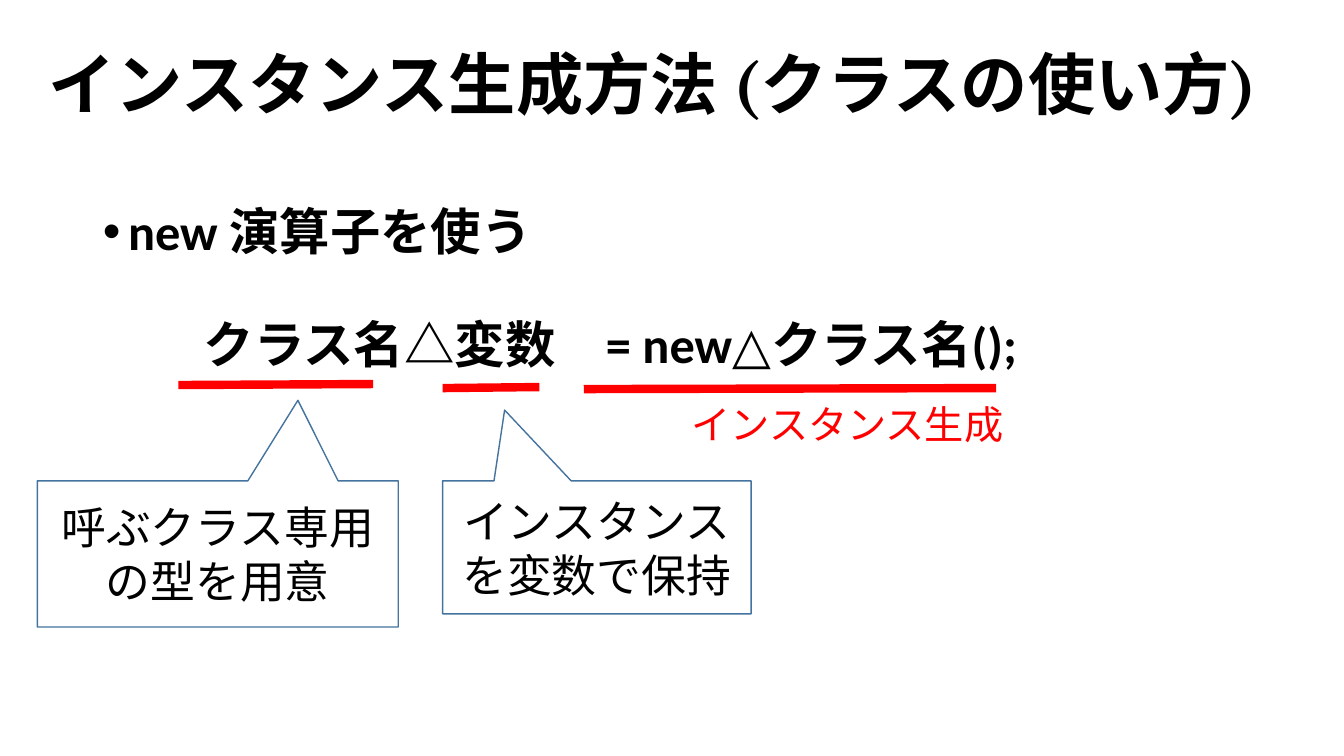
from pptx import Presentation
from pptx.util import Inches, Pt
from pptx.dml.color import RGBColor
from pptx.enum.shapes import MSO_SHAPE, MSO_CONNECTOR
from pptx.enum.text import PP_ALIGN, MSO_ANCHOR, MSO_AUTO_SIZE
from pptx.oxml.ns import qn
from lxml.etree import SubElement

TITLE = "インスタンス生成方法 (クラスの使い方)"
BODY = [
    ("new 演算子を使う", 10, 0.25, -0.25, "•"),
    ("クラス名△変数\u3000= new△クラス名();", 42, 1, 0, None),
]
UNDERLINES = [
    (1.77, 3.82, 3.7, 3.81),
    (4.39, 3.85, 5.35, 3.84),
    (5.79, 3.86, 9.88, 3.85),
]
CALLOUTS = [
    (["呼ぶクラス専用の型を用意"], (0.37, 4.77, 3.58, 1.45), (0.222, -1.051)),
    (["インスタンス", "を変数で保持"], (4.39, 4.77, 3.06, 1.32), (-0.299, -1.032)),
]
LABEL = "インスタンス生成"


def rgb(value):
    return RGBColor.from_string(value)


def write(p, text, size=32, font="Calibri", color="000000", bold=False,
          align=PP_ALIGN.LEFT, spacing=None, before=None):
    r = p.add_run()
    r.text = text
    r.font.size = Pt(size)
    r.font.name = font
    r.font.bold = bold
    r.font.color.rgb = rgb(color)
    p.alignment = align
    if spacing is not None:
        p.line_spacing = spacing
    if before is not None:
        p.space_before = Pt(before)


def place(s, box):
    s.left, s.top, s.width, s.height = map(Inches, box)


def set_bullet(p, left, indent, char):
    pPr = p._p.get_or_add_pPr()
    pPr.set("marL", str(Inches(left)))
    pPr.set("indent", str(Inches(indent)))
    if char:
        SubElement(pPr, qn("a:buFont")).set("typeface", "Arial")
        SubElement(pPr, qn("a:buChar")).set("char", char)
    else:
        SubElement(pPr, qn("a:buNone"))


def paragraphs(tf, count):
    return [tf.paragraphs[0]] + [tf.add_paragraph() for _ in range(count - 1)]


def main():
    prs = Presentation()
    prs.slide_width, prs.slide_height = Inches(13.33), Inches(7.5)
    s = prs.slides.add_slide(prs.slide_layouts[1])

    title, body = s.shapes.title, s.placeholders[1]
    place(title, (0.38, 0.27, 12.36, 1.2))
    place(body, (0.92, 2, 11.5, 4.76))
    for sp in (title, body):
        sp.text_frame.auto_size = MSO_AUTO_SIZE.NONE
    title.text_frame.vertical_anchor = MSO_ANCHOR.MIDDLE
    write(title.text_frame.paragraphs[0], TITLE, size=48, font="Cambria",
          bold=True, spacing=0.9)
    for p, (text, before, left, indent, char) in zip(
            paragraphs(body.text_frame, len(BODY)), BODY):
        write(p, text, size=36, bold=True, spacing=0.9, before=before)
        set_bullet(p, left, indent, char)

    for ends in UNDERLINES:
        line = s.shapes.add_connector(MSO_CONNECTOR.STRAIGHT, *map(Inches, ends))
        line.line.color.rgb = rgb("FF0000")
        line.line.width = Pt(6)
        SubElement(line._element.spPr, qn("a:effectLst"))

    for lines, box, tip in CALLOUTS:
        sp = s.shapes.add_shape(MSO_SHAPE.RECTANGULAR_CALLOUT, *map(Inches, box))
        sp.adjustments[0], sp.adjustments[1] = tip
        sp.shadow.inherit = False
        sp.fill.solid()
        sp.fill.fore_color.rgb = rgb("FFFFFF")
        sp.line.color.rgb = rgb("43739E")
        sp.line.width = Pt(1)
        tf = sp.text_frame
        tf.word_wrap = True
        tf.vertical_anchor = MSO_ANCHOR.MIDDLE
        for p, text in zip(paragraphs(tf, len(lines)), lines):
            write(p, text, align=PP_ALIGN.CENTER)

    tf = s.shapes.add_textbox(*map(Inches, (6.76, 3.92, 3.78, 0.57))).text_frame
    tf.word_wrap = True
    tf.auto_size = MSO_AUTO_SIZE.SHAPE_TO_FIT_TEXT
    write(tf.paragraphs[0], LABEL, size=28, color="FF0000")

    prs.save("out.pptx")


if __name__ == "__main__":
    main()
